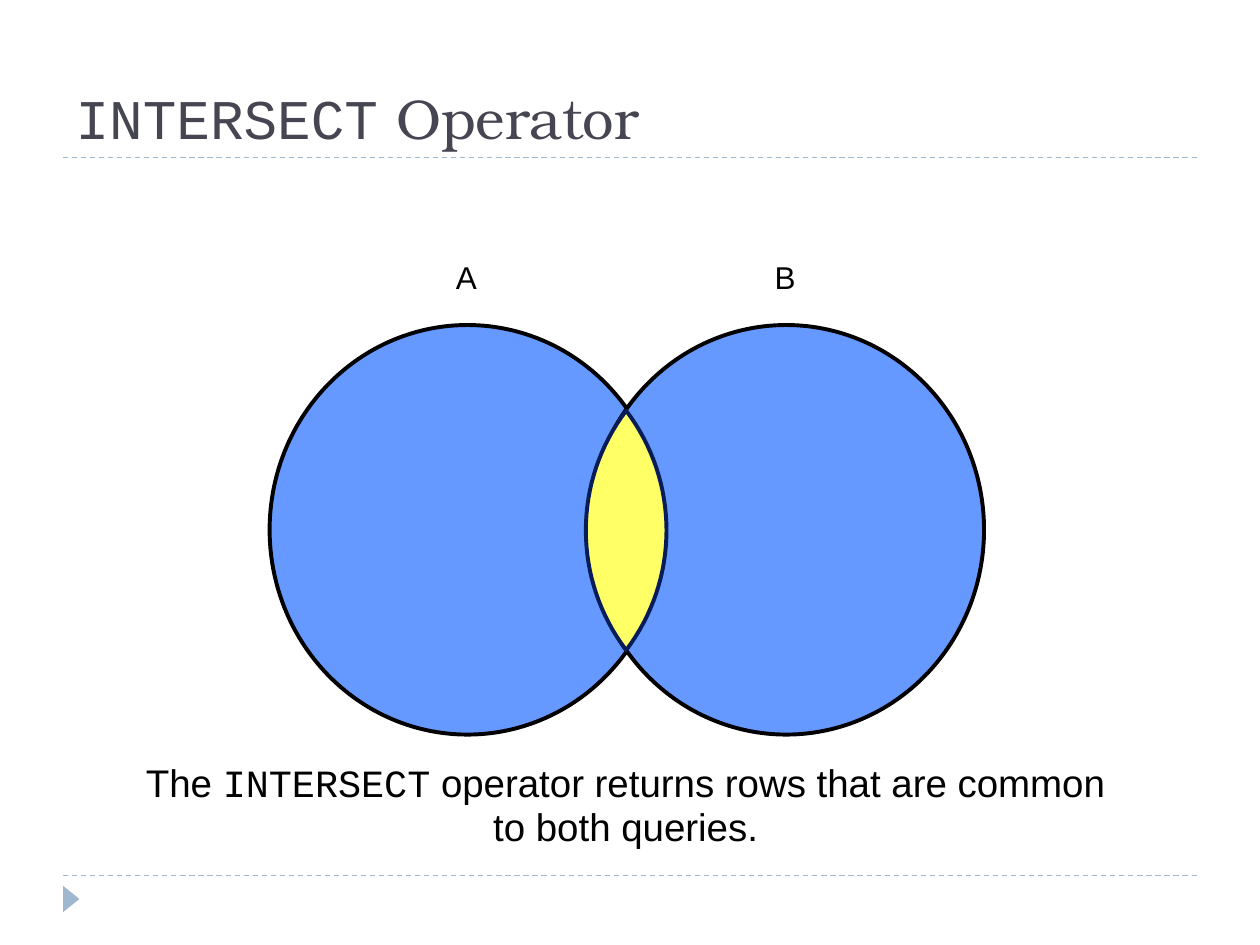
import math

import lxml.etree
import pptx
import pptx.dml.color
import pptx.enum.dml
import pptx.enum.shapes
import pptx.enum.text
import pptx.oxml.ns
import pptx.util

PX = 9144
INK = pptx.dml.color.RGBColor(0x00, 0x00, 0x00)
SLATE = pptx.dml.color.RGBColor(0x46, 0x46, 0x53)
MIST = pptx.dml.color.RGBColor(0x9F, 0xB8, 0xCD)
BLUE = pptx.dml.color.RGBColor(0x66, 0x99, 0xFF)
YELLOW = pptx.dml.color.RGBColor(0xFF, 0xFF, 0x66)
NAVY = pptx.dml.color.RGBColor(0x08, 0x1D, 0x58)
SANS, MONO, SERIF = "Arial", "Courier New", "TeX Gyre Bonum"


def emu(*lengths):
    """Turn px lengths into EMU."""
    return [round(length * PX) for length in lengths]


def write(para, parts, size, color):
    """Fill a paragraph with (text, font name) parts."""
    para.font.size = pptx.util.Pt(size)
    para.font.color.rgb = color
    for text, name in parts:
        span = para.add_run()
        span.text = text
        span.font.name = name


def paint(shape, fill, line):
    """Give a shape a flat fill and a line, or no line."""
    shape.shadow.inherit = False
    shape.fill.solid()
    shape.fill.fore_color.rgb = fill
    if line is None:
        shape.line.fill.background()
    else:
        shape.line.color.rgb = line
        shape.line.width = pptx.util.Pt(2.25)


def add_text(page, box, parts, size, wrap):
    """Add a text box and return its paragraph."""
    frame = page.shapes.add_textbox(*emu(*box)).text_frame
    frame.word_wrap = wrap
    para = frame.paragraphs[0]
    write(para, parts, size, INK)
    return para


def add_rule(page, left, top, width):
    """Draw a dashed horizontal rule."""
    rule = page.shapes.add_connector(
        pptx.enum.shapes.MSO_CONNECTOR.STRAIGHT, *emu(left, top, left + width, top))
    rule.line.color.rgb = MIST
    rule.line.width = pptx.util.Pt(0.75)
    rule.line.dash_style = pptx.enum.dml.MSO_LINE.DASH
    lxml.etree.SubElement(rule._element.spPr, pptx.oxml.ns.qn("a:effectLst"))


def add_footer(page, left, top, width):
    """Draw the bottom rule and the arrow mark below it."""
    add_rule(page, left, top, width)
    mark = page.shapes.add_shape(
        pptx.enum.shapes.MSO_SHAPE.ISOSCELES_TRIANGLE, *emu(left - 4, top + 12, 21, 13))
    mark.rotation = 90
    paint(mark, MIST, None)


def add_title(page, left, top, width, height):
    """Set the title on its dashed rule."""
    title = page.shapes.title
    title.left, title.top, title.width, title.height = emu(left, top, width, height)
    frame = title.text_frame
    frame.auto_size = pptx.enum.text.MSO_AUTO_SIZE.NONE
    frame.vertical_anchor = pptx.enum.text.MSO_ANCHOR.BOTTOM
    para = frame.paragraphs[0]
    para.alignment = pptx.enum.text.PP_ALIGN.LEFT
    write(para, [("INTERSECT", MONO), (" Operator", SERIF)], 32, SLATE)
    add_rule(page, left, top + height, width)


def add_lens(page, center_x, center_y, half_width, half_height):
    """Draw the overlap as two circular arcs."""
    radius = (half_height ** 2 + half_width ** 2) / (2 * half_width)
    reach = math.asin(half_height / radius)
    steps = 32
    points = []
    for side in (1, -1):
        for step in range(steps):
            angle = side * reach * (2 * step / steps - 1)
            x = center_x + side * (radius * math.cos(angle) - radius + half_width)
            points.append(emu(x, center_y + radius * math.sin(angle)))
    builder = page.shapes.build_freeform(*points[0])
    builder.add_line_segments(points[1:], close=True)
    paint(builder.convert_to_shape(), YELLOW, NAVY)


def add_venn(page, left, top, width, height):
    """Draw two labelled circles and their overlap."""
    circle_width, circle_height = 314, 325
    circle_top = top + height - circle_height
    for name, circle_left in (("A", left), ("B", left + width - circle_width)):
        circle = page.shapes.add_shape(
            pptx.enum.shapes.MSO_SHAPE.OVAL,
            *emu(circle_left, circle_top, circle_width, circle_height))
        paint(circle, BLUE, INK)
        add_text(page, (circle_left + 138, top, 38, 40), [(name, SANS)], 18, False)
    add_lens(page, left + width // 2, circle_top + circle_height // 2 + 1, 32, 95)


def add_caption(page, left, top, width, height):
    """Write the centred explanation."""
    parts = [("The ", SANS), ("INTERSECT", MONO),
             (" operator returns rows that are common to both queries.", SANS)]
    para = add_text(page, (left, top, width, height), parts, 22, True)
    para.alignment = pptx.enum.text.PP_ALIGN.CENTER
    para.line_spacing = 0.95


def main():
    """Build and save the slide."""
    deck = pptx.Presentation()
    deck.slide_width, deck.slide_height = emu(1000, 750)
    page = deck.slides.add_slide(deck.slide_layouts.get_by_name("Title Only"))
    add_footer(page, 50, 695, 900)
    add_title(page, 50, 25, 900, 100)
    add_venn(page, 214, 200, 567, 383)
    add_caption(page, 99, 600, 795, 80)
    deck.save("out.pptx")


if __name__ == "__main__":
    main()
